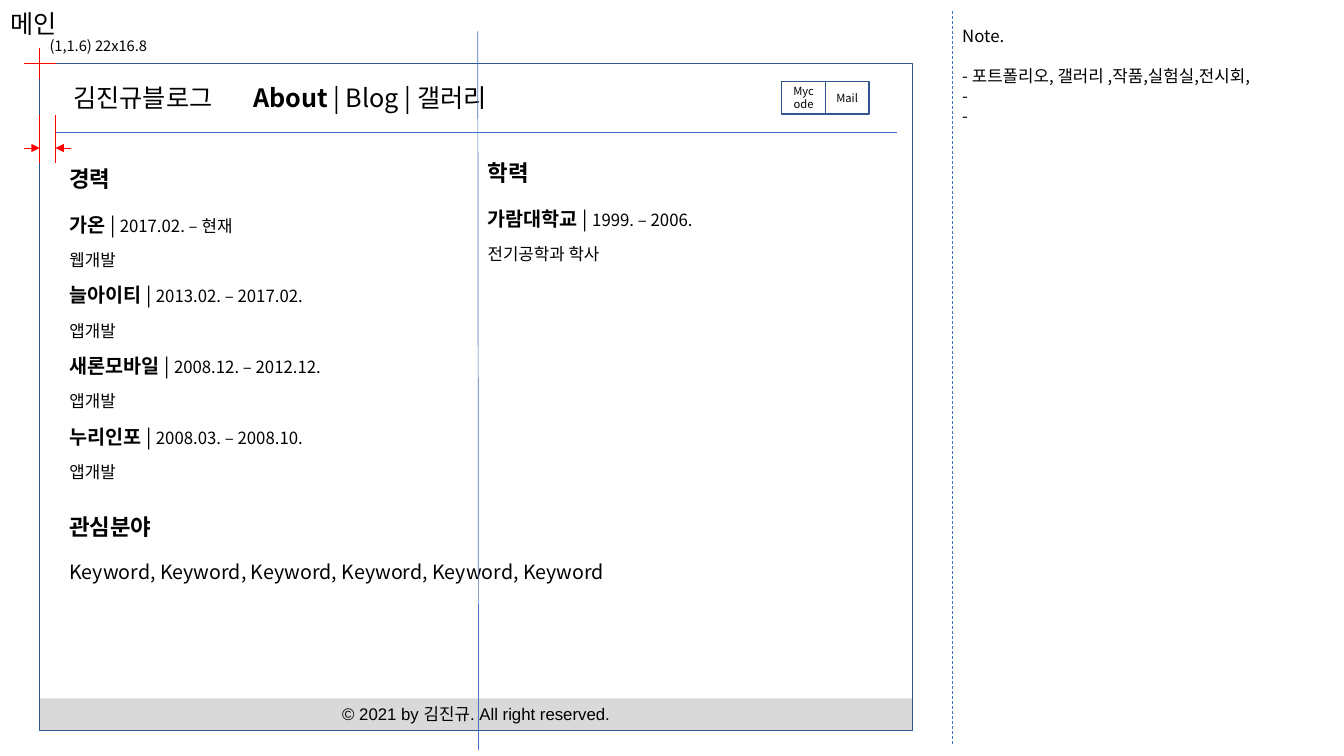
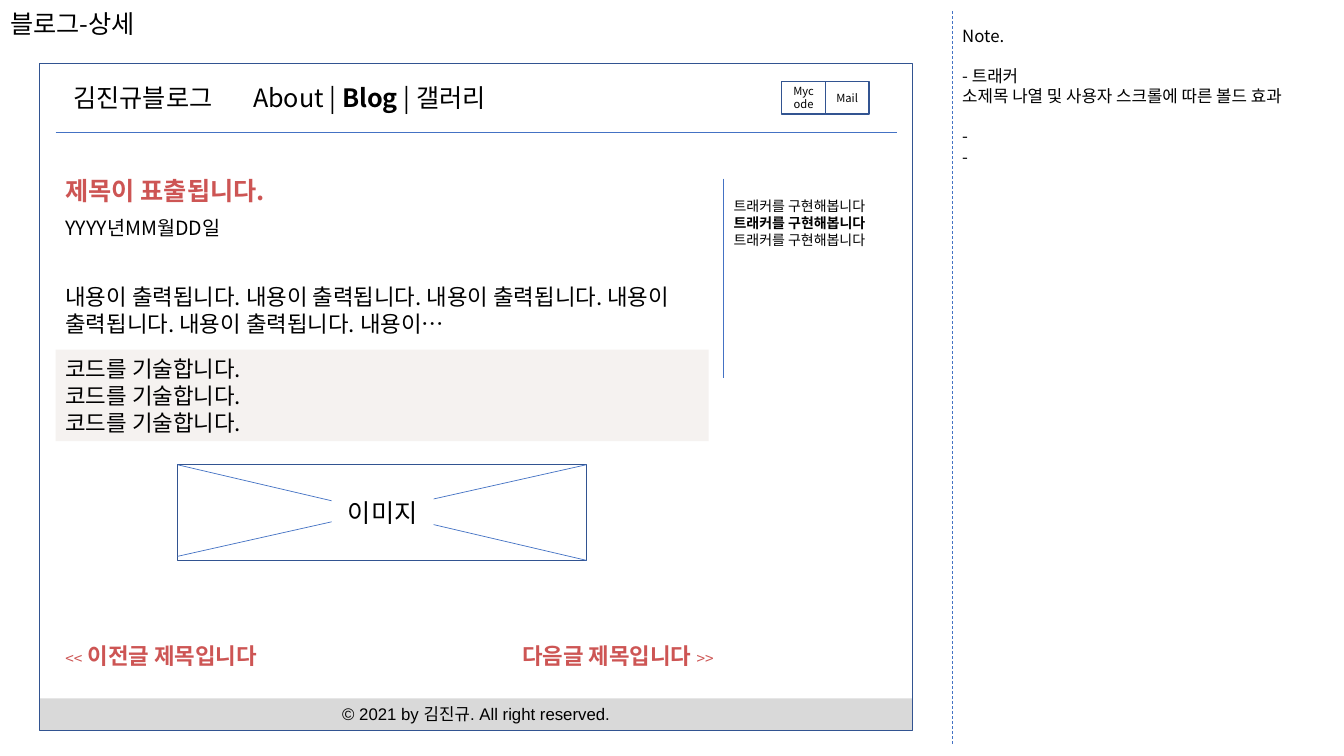
from dataclasses import dataclass
from typing import Optional

from lxml.etree import SubElement
from pptx import Presentation
from pptx.dml.color import RGBColor
from pptx.enum.dml import MSO_LINE
from pptx.enum.shapes import MSO_CONNECTOR, MSO_SHAPE
from pptx.enum.text import MSO_ANCHOR, MSO_AUTO_SIZE, PP_ALIGN
from pptx.oxml.ns import qn
from pptx.shapes.autoshape import Shape
from pptx.slide import Slide
from pptx.util import Cm, Pt

BLACK = RGBColor(0x00, 0x00, 0x00)
WHITE = RGBColor(0xFF, 0xFF, 0xFF)
BLUE = RGBColor(0x44, 0x72, 0xC4)
NAVY = RGBColor(0x32, 0x54, 0x91)
RED = RGBColor(0xFF, 0x00, 0x00)
CORAL = RGBColor(0xCD, 0x55, 0x54)
GREY = RGBColor(0xD9, 0xD9, 0xD9)
CREAM = RGBColor(0xF5, 0xF2, 0xF0)
SANS = "Noto Sans CJK KR"

# Page grid in centimetres
PAGE_LEFT, PAGE_TOP, PAGE_WIDTH, PAGE_HEIGHT = 1, 1.6, 22, 16.8
CONTENT_LEFT, CONTENT_RIGHT = 1.4, 22.6
NAV_HEIGHT = 1.73
NAV_BOTTOM = PAGE_TOP + NAV_HEIGHT
FOOTER_HEIGHT = 0.8
NOTE_LEFT = 24
LINE_FACTOR = 1.2


@dataclass(frozen=True)
class Box:
    left: float
    top: float
    width: float
    height: float


@dataclass(frozen=True)
class Words:
    text: str
    size: float = 12
    bold: bool = False
    color: RGBColor = BLACK
    font: str = SANS


@dataclass(frozen=True)
class Line:
    words: tuple[Words, ...]
    gap: float = 0  # points above the line


@dataclass(frozen=True)
class Job:
    place: str
    period: str
    detail: str


def line(text: str, size: float = 12, bold: bool = False,
         color: RGBColor = BLACK, gap: float = 0) -> Line:
    return Line((Words(text, size, bold, color),), gap)


# Drawing helpers
def write(shape: Shape, lines: list[Line], align: PP_ALIGN = PP_ALIGN.LEFT,
          anchor: MSO_ANCHOR = MSO_ANCHOR.MIDDLE) -> None:
    frame = shape.text_frame
    frame.word_wrap = True
    frame.auto_size = MSO_AUTO_SIZE.NONE
    frame.vertical_anchor = anchor
    frame.text = "\n".join("" for _ in lines)
    for paragraph, content in zip(frame.paragraphs, lines):
        paragraph.alignment = align
        paragraph.line_spacing = 1.0
        paragraph.space_before = Pt(content.gap)
        for words in content.words:
            run = paragraph.add_run()
            run.text = words.text
            run.font.size = Pt(words.size)
            run.font.bold = words.bold
            run.font.name = words.font
            run.font.color.rgb = words.color
            SubElement(run.font._element, qn("a:ea")).set("typeface", SANS)


def add_text(slide: Slide, box: Box, lines: list[Line],
             align: PP_ALIGN = PP_ALIGN.LEFT,
             anchor: MSO_ANCHOR = MSO_ANCHOR.MIDDLE) -> Shape:
    shape = slide.shapes.add_textbox(Cm(box.left), Cm(box.top),
                                     Cm(box.width), Cm(box.height))
    write(shape, lines, align, anchor)
    return shape


def add_rect(slide: Slide, box: Box, fill: Optional[RGBColor] = None,
             outline: float = 0) -> Shape:
    shape = slide.shapes.add_shape(MSO_SHAPE.RECTANGLE, Cm(box.left), Cm(box.top),
                                   Cm(box.width), Cm(box.height))
    shape.shadow.inherit = False
    if fill is None:
        shape.fill.background()
    else:
        shape.fill.solid()
        shape.fill.fore_color.rgb = fill
    if outline:
        shape.line.color.rgb = NAVY
        shape.line.width = Pt(outline)
    else:
        shape.line.fill.background()
    return shape


def add_line(slide: Slide, x1: float, y1: float, x2: float, y2: float,
             color: RGBColor = BLUE, dashed: bool = False, arrow: bool = False) -> None:
    connector = slide.shapes.add_connector(MSO_CONNECTOR.STRAIGHT,
                                           Cm(x1), Cm(y1), Cm(x2), Cm(y2))
    connector.line.color.rgb = color
    connector.line.width = Pt(0.5)
    if dashed:
        connector.line.dash_style = MSO_LINE.DASH
    if arrow:
        SubElement(connector.line._get_or_add_ln(), qn("a:tailEnd")).set("type", "triangle")
    SubElement(connector._element.spPr, qn("a:effectLst"))


# Shared wireframe: title, navigation, page border, footer and note column
def add_page(title: str, current: str, notes: list[Line]) -> Slide:
    slide = deck.slides.add_slide(deck.slide_layouts[5])
    heading = slide.shapes.title
    heading.left, heading.top = Cm(0), Cm(0)
    heading.width, heading.height = Cm(NOTE_LEFT), Cm(1.2)
    write(heading, [line(title, 18)])

    footer = add_rect(slide, Box(PAGE_LEFT, PAGE_TOP + PAGE_HEIGHT - FOOTER_HEIGHT,
                                 PAGE_WIDTH, FOOTER_HEIGHT), GREY)
    write(footer, [Line((Words("© 2021 by 김진규. All right reserved.", font="Arial"),))],
          PP_ALIGN.CENTER, MSO_ANCHOR.TOP)

    add_text(slide, Box(1.07, PAGE_TOP, 5.06, NAV_HEIGHT),
             [line("김진규블로그", 18)], PP_ALIGN.CENTER)
    add_line(slide, CONTENT_LEFT, NAV_BOTTOM, CONTENT_RIGHT, NAV_BOTTOM)
    menu: list[Words] = []
    for item in ("About", "Blog", "갤러리"):
        if menu:
            menu.append(Words(" | ", 18))
        menu.append(Words(item, 18, item == current))
    add_text(slide, Box(6.13, PAGE_TOP, 16.87, NAV_HEIGHT), [Line(tuple(menu))])
    add_rect(slide, Box(PAGE_LEFT, PAGE_TOP, PAGE_WIDTH, PAGE_HEIGHT), outline=0.5)
    for index, label in enumerate(("Mycode", "Mail")):
        button = add_rect(slide, Box(19.7 + 1.1 * index, 2.05, 1.1, 0.82), outline=1)
        write(button, [line(label, 8)], PP_ALIGN.CENTER)

    note = add_text(slide, Box(NOTE_LEFT, 0, 9.87, 19.05), [line("Note."), *notes],
                    anchor=MSO_ANCHOR.TOP)
    note.text_frame.margin_top = Cm(0.64)
    add_line(slide, NOTE_LEFT, 0.28, NOTE_LEFT, 18.77, dashed=True)
    return slide


def resume(heading: str, jobs: list[Job]) -> list[Line]:
    lines = [line(heading, 16, True)]
    for index, job in enumerate(jobs):
        gap = (8 if index else 12) * LINE_FACTOR
        lines.append(Line((Words(job.place + " ", 14, True), Words("| ", 14),
                           Words(job.period)), gap))
        lines.append(line(job.detail, gap=8 * LINE_FACTOR))
    return lines


deck = Presentation()
deck.slide_width, deck.slide_height = Cm(33.87), Cm(19.05)
blank_line = 12 * LINE_FACTOR

# Main page
main = add_page("메인", "About", [
    line("- 포트폴리오, 갤러리 ,작품,실험실,전시회,", gap=blank_line), line("- "), line("- ")])
add_text(main, Box(1.5, 3.73, 10.54, 8.85), resume("경력", [
    Job("가온", "2017.02. – 현재", "웹개발"),
    Job("늘아이티", "2013.02. – 2017.02.", "앱개발"),
    Job("새론모바일", "2008.12. – 2012.12.", "앱개발"),
    Job("누리인포", "2008.03. – 2008.10.", "앱개발")]))
add_text(main, Box(12.04, 3.73, 10.56, 3.2), resume("학력", [
    Job("가람대학교", "1999. – 2006.", "전기공학과 학사")]))
add_text(main, Box(1.5, 12.8, 21.08, 3.81), [
    line("관심분야", 16, True),
    line(", ".join(["Keyword"] * 6), 14, gap=blank_line)], anchor=MSO_ANCHOR.TOP)

# Dimension marks and centre guide
add_text(main, Box(PAGE_LEFT, 0.79, 2.97, 0.71), [line("(1,1.6) 22x16.8", 10.5)])
add_line(main, PAGE_LEFT, 2, PAGE_LEFT, 1.2, RED)
add_line(main, 0.6, PAGE_TOP, 1.4, PAGE_TOP, RED)
for edge, start in ((PAGE_LEFT, 0.6), (CONTENT_LEFT, 1.8)):
    add_line(main, edge, 4.1, edge, 2.9, RED)
    add_line(main, start, 3.73, edge, 3.73, RED, arrow=True)
add_line(main, 12.04, 0.79, 12.06, 18.9)

# Blog detail page
detail = add_page("블로그-상세", "Blog", [
    line("- 트래커", gap=blank_line), line("소제목 나열 및 사용자 스크롤에 따른 볼드 효과"),
    line("- ", gap=blank_line), line("- ")])
add_text(detail, Box(CONTENT_LEFT, 4.29, 14.63, 1.02),
         [line("제목이 표출됩니다.", 18, True, CORAL)])
add_text(detail, Box(CONTENT_LEFT, 5.31, 14.63, 0.86), [line("YYYY년MM월DD일", 14)])
add_text(detail, Box(CONTENT_LEFT, 7.01, 16.46, 1.63),
         [line("내용이 출력됩니다. " * 5 + "내용이…", 16)], anchor=MSO_ANCHOR.TOP)
code = add_rect(detail, Box(CONTENT_LEFT, 8.81, 16.46, 2.31), CREAM)
write(code, [line("코드를 기술합니다.", 16)] * 3)

# Image frame with its diagonals
add_rect(detail, Box(4.47, 11.71, 10.31, 2.41), outline=1)
add_line(detail, 4.47, 11.71, 14.78, 14.12)
add_line(detail, 14.78, 11.71, 4.47, 14.02)
write(add_rect(detail, Box(8.36, 12.47, 2.57, 0.91), WHITE),
      [line("이미지", 18)], PP_ALIGN.CENTER)

# Scroll tracker
add_line(detail, 18.24, 4.5, 18.24, 9.53)
add_text(detail, Box(18.24, 4.85, 4.34, 1.55),
         [line("트래커를 구현해봅니다", 10, bold) for bold in (False, True, False)])

# Links to neighbouring posts
add_text(detail, Box(CONTENT_LEFT, 16.05, 8, 0.94), [Line((
    Words("<<", 11, color=CORAL), Words(" ", 16, color=CORAL),
    Words("이전글 제목입니다", 16, True, CORAL)))])
add_text(detail, Box(10.24, 16.05, 8, 0.94), [Line((
    Words("다음글 제목입니다 ", 16, True, CORAL), Words(">>", 11, color=CORAL)))],
    PP_ALIGN.RIGHT)

deck.save("out.pptx")
